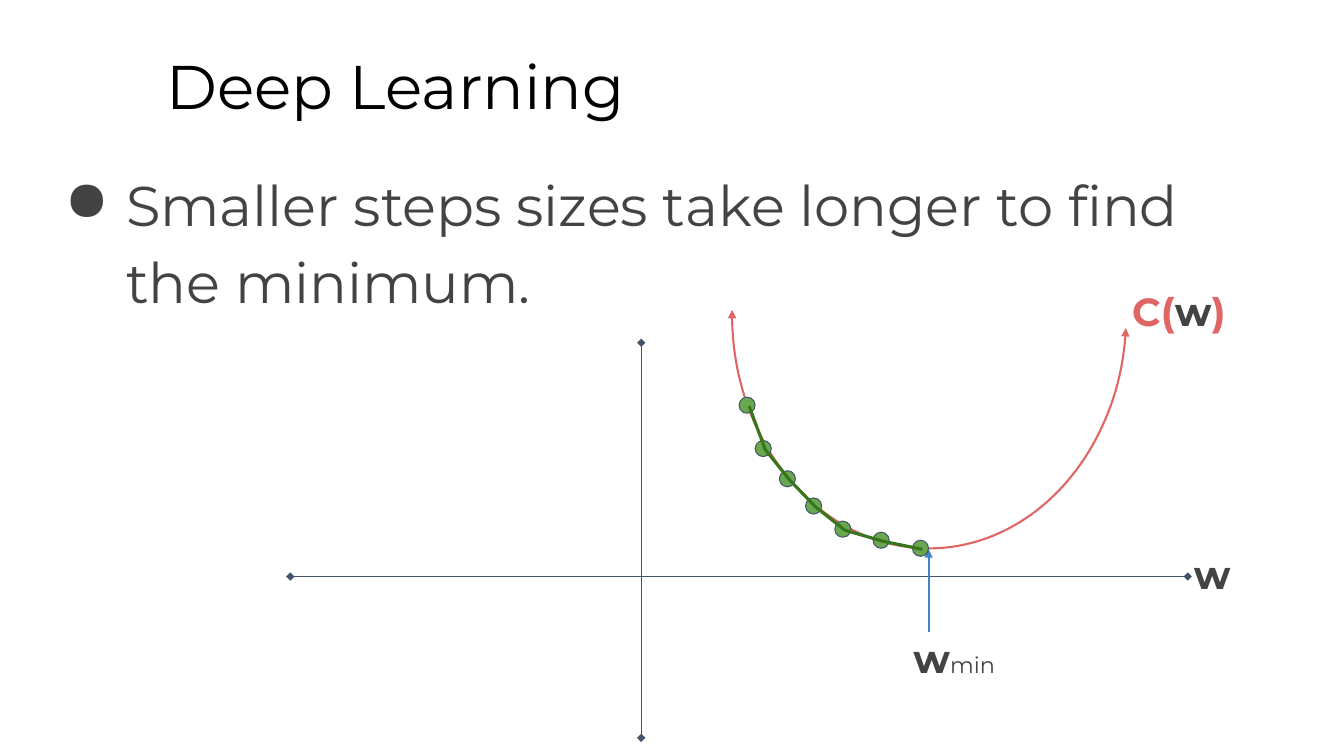
from lxml import etree
from pptx import Presentation
from pptx import util as u
from pptx.dml.color import RGBColor
from pptx.enum import shapes, text
from pptx.oxml import ns

BLACK = RGBColor(0x00, 0x00, 0x00)
GREY = RGBColor(0x43, 0x43, 0x43)
SLATE = RGBColor(0x44, 0x54, 0x6A)
RED = RGBColor(0xE0, 0x66, 0x66)
BLUE = RGBColor(0x3D, 0x85, 0xC6)
GREEN = RGBColor(0x6A, 0xA8, 0x4F)
DARK_GREEN = RGBColor(0x38, 0x76, 0x1D)

FONT = "Montserrat"
DOT = 0.16
STEPS = [(7.33, 3.94), (7.49, 4.37), (7.73, 4.67), (7.99, 4.94),
         (8.28, 5.17), (8.66, 5.28), (9.05, 5.36)]


def add_text(slide, box, runs, spacing=1.0):
    """Add a top-anchored text box of (words, size, colour, bold) runs."""
    frame = slide.shapes.add_textbox(*map(u.Inches, box)).text_frame
    frame.word_wrap = True
    frame.vertical_anchor = text.MSO_ANCHOR.TOP
    frame.margin_left = frame.margin_right = u.Inches(0.13)
    frame.margin_top = frame.margin_bottom = u.Inches(0.13)
    paragraph = frame.paragraphs[0]
    paragraph.line_spacing = spacing
    for words, size, colour, bold in runs:
        run = paragraph.add_run()
        run.text = words
        run.font.name = FONT
        run.font.size = u.Pt(size)
        run.font.bold = bold
        run.font.color.rgb = colour
    return paragraph


def add_bullet(paragraph, colour):
    """Give a paragraph a hanging round bullet."""
    props = paragraph._p.get_or_add_pPr()
    props.set("marL", str(u.Inches(0.67)))
    props.set("indent", str(u.Inches(-0.61)))
    bullet_colour = etree.SubElement(props, ns.qn("a:buClr"))
    etree.SubElement(bullet_colour, ns.qn("a:srgbClr"), val=str(colour))
    etree.SubElement(props, ns.qn("a:buChar"), char="●")


def style_line(shape, colour, width, head=None, tail=None):
    """Set the colour, width and arrowheads of an outline."""
    shape.line.color.rgb = colour
    shape.line.width = u.Pt(width)
    outline = shape.line._get_or_add_ln()
    for tag, kind in (("a:headEnd", head), ("a:tailEnd", tail)):
        if kind:
            etree.SubElement(outline, ns.qn(tag), type=kind)


def add_line(slide, start, end, colour, width, head=None, tail=None):
    """Add a straight line between two points."""
    line = slide.shapes.add_connector(
        shapes.MSO_CONNECTOR.STRAIGHT, *map(u.Inches, start + end))
    style_line(line, colour, width, head, tail)
    etree.SubElement(line._element.spPr, ns.qn("a:effectLst"))


def add_cost_curve(slide):
    """Add the bowl-shaped cost curve."""
    curve = slide.shapes.add_shape(
        shapes.MSO_SHAPE.ARC, *map(u.Inches, (6.89, 1.16, 4.65, 3.91)))
    curve.shadow.inherit = False
    curve.rotation = 90
    curve.adjustments[0] = 164.455
    curve.adjustments[1] = 54.712
    curve.fill.background()
    style_line(curve, RED, 1.5, "triangle", "triangle")


def add_descent(slide):
    """Add a dot at each step and the path that joins them."""
    for left, top in STEPS:
        dot = slide.shapes.add_shape(
            shapes.MSO_SHAPE.OVAL, *map(u.Inches, (left, top, DOT, DOT)))
        dot.shadow.inherit = False
        dot.fill.solid()
        dot.fill.fore_color.rgb = GREEN
        style_line(dot, SLATE, 0.75)
    points = [(u.Inches(left + 0.1), u.Inches(top + 0.09)) for left, top in STEPS]
    builder = slide.shapes.build_freeform(*points[0])
    builder.add_line_segments(points[1:], close=False)
    descent = builder.convert_to_shape()
    descent.shadow.inherit = False
    descent.fill.background()
    style_line(descent, DARK_GREEN, 2.25)


def main():
    """Build the slide and save it."""
    deck = Presentation()
    deck.slide_width, deck.slide_height = u.Inches(13.33), u.Inches(7.5)
    slide = deck.slides.add_slide(deck.slide_layouts[6])

    add_text(slide, (1.52, 0.43, 11.36, 0.84),
             [("Deep Learning", 44, BLACK, False)], 0.9)
    message = add_text(
        slide, (0.45, 1.46, 12.42, 1.12),
        [("Smaller steps sizes take longer to find the minimum.", 40, GREY, False)],
        1.15)
    add_bullet(message, GREY)

    add_line(slide, (6.36, 3.4), (6.36, 7.32), SLATE, 0.75, "diamond", "diamond")
    add_line(slide, (11.78, 5.72), (2.88, 5.72), SLATE, 0.75, "diamond", "diamond")
    add_cost_curve(slide)
    add_text(slide, (11.1, 2.72, 2.2, 0.79),
             [("C(", 28, RED, True), ("w", 28, GREY, True), (")", 28, RED, True)])
    add_text(slide, (11.71, 5.33, 1.12, 0.79), [("w", 28, GREY, True)])
    add_line(slide, (9.21, 5.45), (9.21, 6.27), BLUE, 1.5, "triangle")
    add_text(slide, (8.93, 6.16, 1.52, 0.79),
             [("w", 28, GREY, True), ("min", 16, GREY, False)])
    add_descent(slide)

    deck.save("out.pptx")


main()
